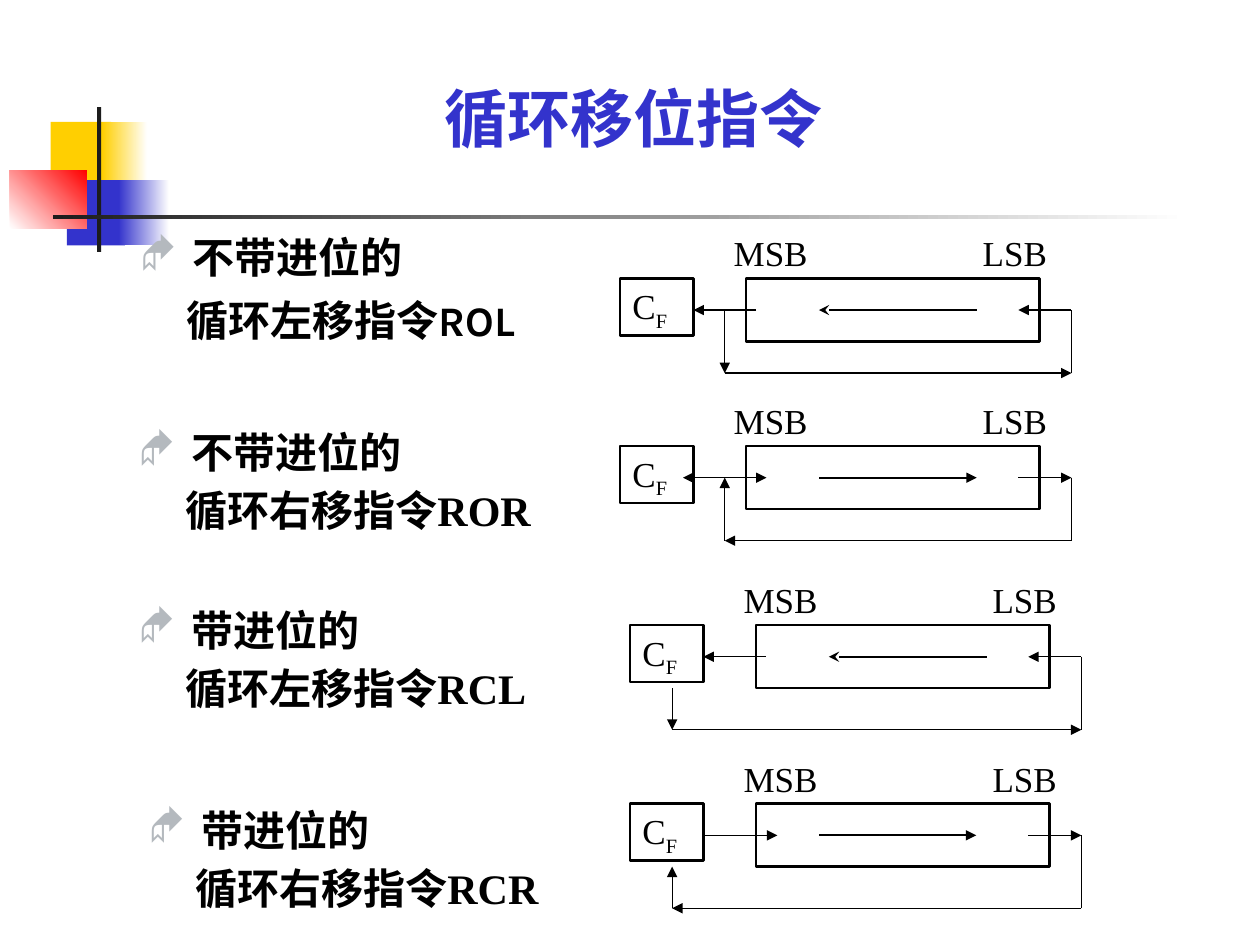
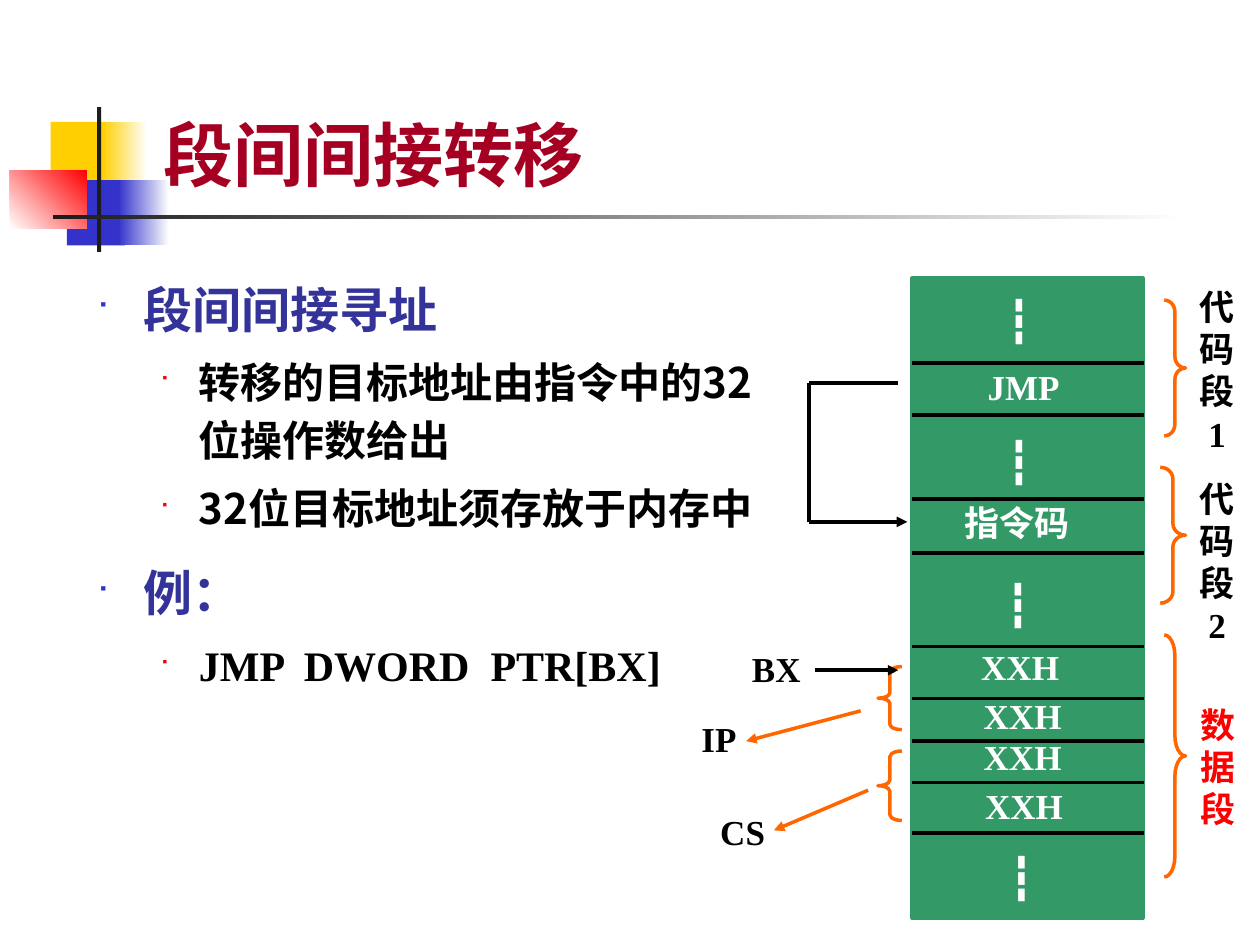
from lxml import etree
from pptx import Presentation
from pptx.dml.color import RGBColor
from pptx.enum.shapes import MSO_CONNECTOR, MSO_SHAPE
from pptx.enum.text import MSO_ANCHOR, PP_ALIGN
from pptx.oxml.ns import qn
from pptx.util import Cm, Pt

RECT, LEFT, RIGHT = MSO_SHAPE.RECTANGLE, MSO_SHAPE.LEFT_BRACE, MSO_SHAPE.RIGHT_BRACE
STRAIGHT = MSO_CONNECTOR.STRAIGHT
TOP, MID, LOW = MSO_ANCHOR.TOP, MSO_ANCHOR.MIDDLE, MSO_ANCHOR.BOTTOM
MIDST = PP_ALIGN.CENTER

INK = {
    "black": "000000", "white": "FFFFFF", "gold": "FFCF01", "blue": "3333CC",
    "red": "FF0000", "dark": "1C1C1C", "grey": "B4B9BE", "wine": "A50021",
    "navy": "333399", "green": "339966", "flame": "FF6600",
}
SANS, SERIF = "Noto Sans CJK SC", "Times New Roman"


def box(sld, at, paras=(), kind=None, fill=None, edge=None, wide=0, anchor=TOP):
    at = [Cm(v) for v in at]
    if kind is None:
        shp = sld.shapes.add_textbox(*at)
    else:
        shp = sld.shapes.add_shape(kind, *at)
        shp.shadow.inherit = False
        if fill:
            shp.fill.solid()
            shp.fill.fore_color.rgb = RGBColor.from_string(INK[fill])
        else:
            shp.fill.background()
        if edge:
            shp.line.color.rgb = RGBColor.from_string(INK[edge])
            shp.line.width = Pt(wide)
        else:
            shp.line.fill.background()
    frame = shp.text_frame
    frame.word_wrap = True
    frame.vertical_anchor = anchor
    for num, (text, look) in enumerate(paras):
        para = frame.add_paragraph() if num else frame.paragraphs[0]
        props = para._p.get_or_add_pPr()
        for key, val in look.get("ind", {}).items():
            props.set(key, str(Cm(val)))
        if "dot" in look:
            char, tint, size = look["dot"]
            hue = etree.SubElement(props, qn("a:buClr"))
            etree.SubElement(hue, qn("a:srgbClr"), val=INK[tint])
            etree.SubElement(props, qn("a:buSzPct"), val=str(size * 1000))
            etree.SubElement(props, qn("a:buFont"), typeface="Wingdings")
            etree.SubElement(props, qn("a:buChar"), char=char)
        if "tab" in look:
            tabs = etree.SubElement(props, qn("a:tabLst"))
            etree.SubElement(tabs, qn("a:tab"), pos=str(Cm(look["tab"])), algn="l")
        for key, val in look.get("para", {}).items():
            if num or key != "space_before":
                setattr(para, key, val)
        for sub, part in enumerate(text.split("|")):
            run = para.add_run()
            run.text = part
            for key, val in look["font"].items():
                setattr(run.font, key, val)
            run.font.color.rgb = RGBColor.from_string(INK[look["ink"]])
            etree.SubElement(run._r.rPr, qn("a:ea"), typeface=SANS)
            if sub:
                run._r.rPr.set("baseline", "-25000")
    return shp


def line(sld, start, end, ink="black", wide=0.75, head=None, tail=None):
    con = sld.shapes.add_connector(STRAIGHT, *[Cm(v) for v in (*start, *end)])
    con.line.color.rgb = RGBColor.from_string(INK[ink])
    con.line.width = Pt(wide)
    pen = con.line._get_or_add_ln()
    for tag, form in (("a:headEnd", head), ("a:tailEnd", tail)):
        if form:
            etree.SubElement(pen, qn(tag), type=form)
    etree.SubElement(con._element.spPr, qn("a:effectLst"))


prs = Presentation()
prs.slide_width, prs.slide_height = Cm(25.4), Cm(19.05)
shift, jump = [prs.slides.add_slide(prs.slide_layouts[6]) for _ in range(2)]

DECOR = [
    ((1.02, 2.46, 1.22, 1.32), "gold", None, 0),
    ((2.06, 2.46, 0.91, 1.32), "gold", "white", 0),
    ((1.35, 3.63, 1.17, 1.32), "blue", None, 0),
    ((2.39, 3.63, 1.02, 1.32), "blue", "white", 0),
    ((0.2, 3.43, 1.55, 1.17), "white", "red", 45),
    ((1.96, 2.16, 0.08, 2.92), "dark", None, 0),
    ((1.07, 4.34, 22.86, 0.08), "dark", "white", 0),
]
for sld in (shift, jump):
    for at, ink, fade, turn in DECOR:
        shp = box(sld, at, kind=RECT, fill=ink)
        if fade:
            shp.fill.gradient()
            shp.fill.gradient_angle = turn
            for stop, name in zip(shp.fill.gradient_stops, (ink, fade)):
                stop.color.rgb = RGBColor.from_string(INK[name])

head = {"font": {"size": Pt(36), "name": "Karla", "bold": True},
        "ink": "blue", "para": {"alignment": MIDST}}
box(shift, (1.35, 1.42, 22.86, 1.88), [("循环移位指令", head)], anchor=MID)

ITEMS = [
    ((2.57, 4.55, 9.5, 2.97), "不带进位的", "循环左移指令ROL", "Karla", 1.0),
    ((2.54, 8.59, 9.5, 2.54), "不带进位的", "循环右移指令ROR", SERIF, 0.9),
    ((2.54, 12.17, 9.5, 2.74), "带进位的", "循环左移指令RCL", SERIF, 0.9),
    ((2.74, 16.2, 9.32, 2.34), "带进位的", "循环右移指令RCR", SERIF, 0.9),
]
for at, first, next_, face, gap in ITEMS:
    base = {"font": {"size": Pt(24), "name": face, "bold": True}, "ink": "black",
            "para": {"line_spacing": gap, "space_before": Pt(7.2)}}
    lead = {**base, "ind": {"marL": 1.07, "indent": -1.07}, "dot": ("◆", "grey", 100)}
    rest = {**base, "ind": {"marL": 0.95, "indent": 0}}
    box(shift, at, [(first, lead), (next_, rest)])

plain = {"font": {"size": Pt(20), "name": SERIF}, "ink": "black"}
ends = {**plain, "tab": 5.02}
LOOPS = [
    (12.5, 5.61, True, (2.11, 0.64, 1.91), (4.01, 7.19), [(2.74, 1.48)]),
    (12.5, 8.99, False, (2.11, 0.64, 1.91), (4.01, 7.19), [(2.11, 1.27), (2.11, 2.95)]),
    (12.7, 12.6, True, (0.85, 1.27, 2.11), (4.01, 7.19), [(2.74, 1.48)]),
    (12.7, 16.2, False, (0.85, 1.27, 2.11), (3.81, 6.98), [(1.48, 2.97)]),
]
FAR, STUB, AXIS = 9.1, 8.03, 0.64
for left, top, west, (tap, high, deep), (near, away), links in LOOPS:
    box(shift, (left + 2.54, top, 5.92, 1.27), kind=RECT, edge="black", wide=1.5)
    box(shift, (left, top, 1.48, 1.15), [("C|F", {**plain, "para": {"alignment": PP_ALIGN.LEFT}})],
        kind=RECT, edge="black", wide=1.5)
    tag = box(shift, (left + 1.69, top - 1.06, 7.42, 1.08), [("MSB\tLSB", ends)])
    tag.text_frame.margin_left = Cm(0.6)
    mid = top + AXIS
    span = [(left + away, mid), (left + near, mid)]
    if west:
        line(shift, *span, wide=1.25, tail="stealth")
    else:
        line(shift, *span, wide=1.25, head="triangle")
    for start, end in links:
        line(shift, (left + start, mid), (left + end, mid), tail="triangle")
    route = [(tap, high), (tap, deep), (FAR, deep), (FAR, AXIS), (STUB, AXIS)]
    route = [(left + x, top + y) for x, y in route]
    for num, (start, end) in enumerate(zip(route, route[1:])):
        tip = None if num == 2 else "triangle"
        line(shift, start, end, **{"tail" if west else "head": tip})

head = {"font": {"size": Pt(40), "name": SANS, "bold": True}, "ink": "wine"}
box(jump, (3.05, 0, 21.64, 4.06), [("段间间接转移", head)], anchor=LOW)

main = {"font": {"size": Pt(28), "name": SANS, "bold": True}, "ink": "navy",
        "ind": {"marL": 0.95, "indent": -0.95}, "dot": ("■", "blue", 60),
        "para": {"line_spacing": 1.15, "space_before": Pt(6), "space_after": Pt(6)}}
sub = {"font": {"size": Pt(24), "name": SANS, "bold": True}, "ink": "black",
       "ind": {"marL": 2.06, "indent": -0.79}, "dot": ("■", "red", 55),
       "para": {"level": 1, "line_spacing": 1.15, "space_after": Pt(6)}}
code = {**sub, "font": {**sub["font"], "name": SERIF}}
box(jump, (1.7, 5.33, 14.2, 10.31), [
    ("段间间接寻址", main),
    ("转移的目标地址由指令中的32位操作数给出", sub),
    ("32位目标地址须存放于内存中", sub),
    ("例：", main),
    ("JMP  DWORD  PTR[BX]", code),
])

box(jump, (18.39, 5.61, 4.65, 12.9), kind=RECT, fill="green", edge="green", wide=2)
for y in (7.32, 8.37, 10.06, 11.15, 13.03, 14.08, 14.94, 15.77, 16.79):
    line(jump, (18.39, y), (23.06, y), wide=2)

bold = {"font": {"size": Pt(20), "name": SERIF, "bold": True}, "ink": "black"}
pale = {**bold, "ink": "white"}
dots = {**pale, "font": {**bold["font"], "size": Pt(24)}}
tall = {**bold, "para": {"alignment": MIDST}}
LABELS = [
    ("JMP", (19.66, 7.24, 2.97, 1.09), pale),
    ("指令码", (19.2, 9.98, 3.43, 1.09), pale),
    ("XXH", (19.53, 12.88, 2.97, 1.09), pale),
    ("XXH", (19.58, 13.87, 2.97, 1.09), pale),
    ("XXH", (19.58, 14.71, 2.97, 1.09), pale),
    ("XXH", (19.61, 15.7, 2.97, 1.09), pale),
    ("┇", (20.04, 5.82, 1.47, 1.27), dots),
    ("┇", (20.04, 8.66, 1.47, 1.27), dots),
    ("┇", (20.02, 11.53, 1.47, 1.27), dots),
    ("┇", (20.09, 17.04, 1.47, 1.27), dots),
    ("BX", (14.91, 12.93, 2.01, 1.12), bold),
    ("IP", (13.89, 14.33, 1.47, 1.12), bold),
    ("CS", (14.27, 16.21, 1.63, 1.12), bold),
    ("代码段1", (23.9, 5.64, 1.27, 3.63), tall),
    ("代码段2", (23.9, 9.5, 1.27, 3.63), tall),
    ("数据段", (23.9, 14.05, 1.3, 2.82), {**tall, "ink": "red"}),
]
for text, at, look in LABELS:
    box(jump, at, [(text, look)])

BRACES = [
    (LEFT, (17.7, 13.44, 0.48, 1.27), 0.22),
    (LEFT, (17.7, 15.14, 0.48, 1.4), 0.24),
    (RIGHT, (23.47, 6.05, 0.43, 2.74), 0.54),
    (RIGHT, (23.39, 9.42, 0.51, 2.74), 0.46),
    (RIGHT, (23.47, 12.8, 0.43, 4.88), 0.96),
]
for kind, at, bend in BRACES:
    shp = box(jump, at, kind=kind, edge="flame", wide=2)
    shp.adjustments[0] = bend

ARROWS = [
    ((16.43, 13.51), (18.11, 13.51), "black", "triangle"),
    ((17.35, 14.33), (15.04, 14.94), "flame", "triangle"),
    ((17.5, 15.93), (15.6, 16.74), "flame", "triangle"),
    ((18.11, 7.72), (16.31, 7.72), "black", None),
    ((16.31, 10.52), (16.31, 7.72), "black", None),
    ((16.31, 10.52), (18.29, 10.52), "black", "triangle"),
]
for start, end, ink, tip in ARROWS:
    line(jump, start, end, ink, 2, tail=tip)

prs.save("out.pptx")
